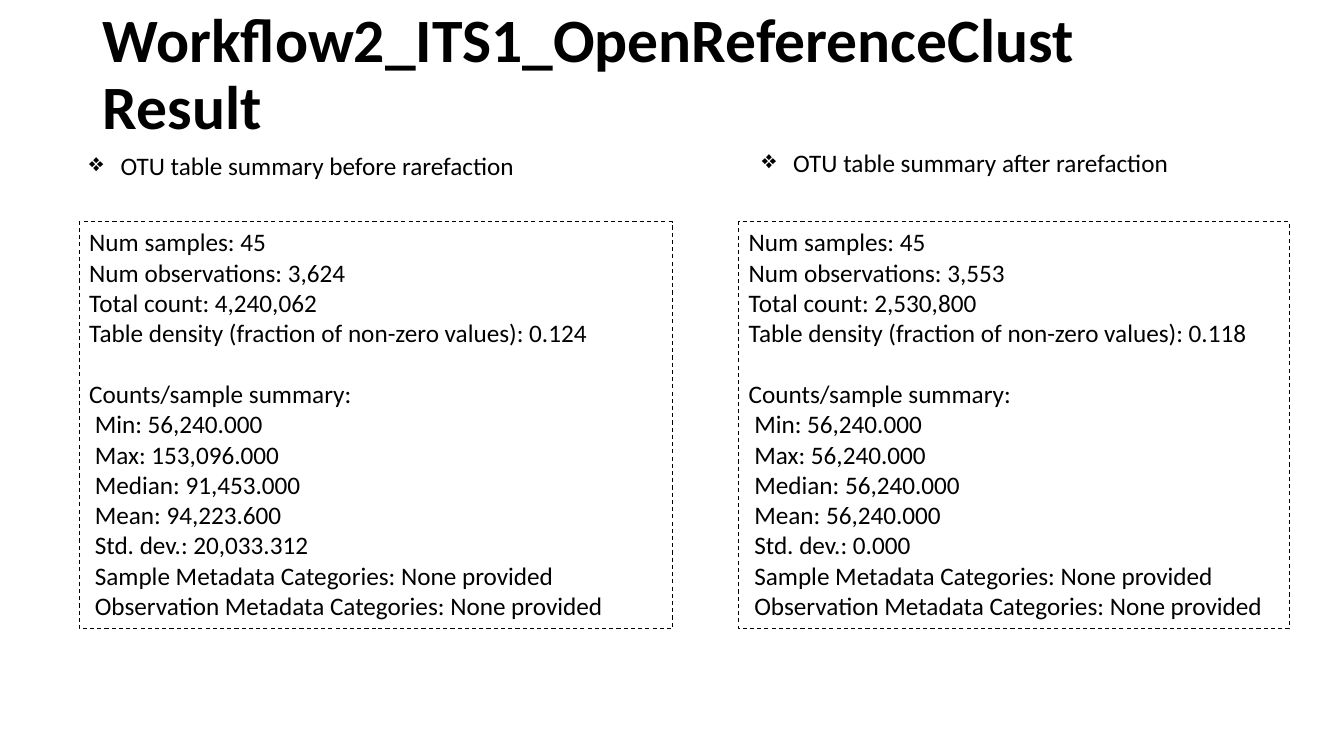
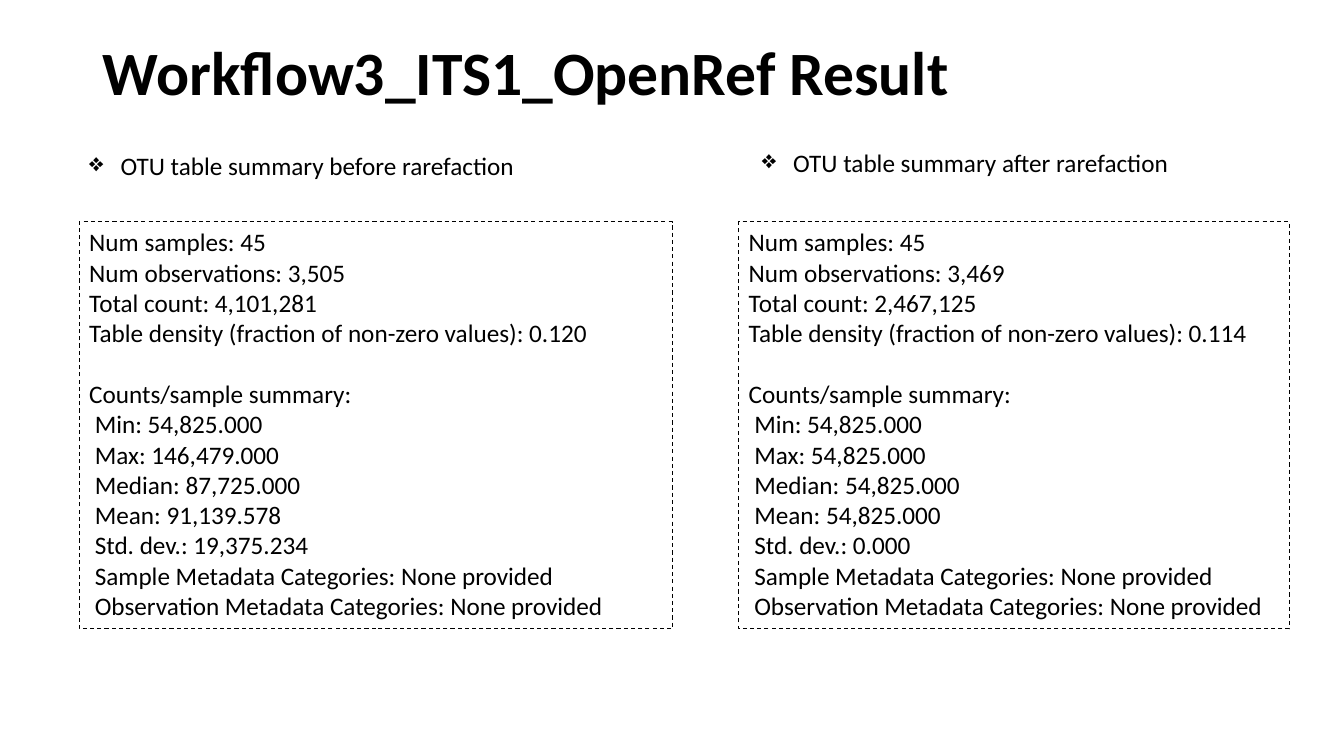
from dataclasses import dataclass
from typing import NamedTuple

from lxml.etree import SubElement
from pptx import Presentation
from pptx.dml.color import RGBColor
from pptx.enum.dml import MSO_LINE
from pptx.enum.text import MSO_ANCHOR, MSO_AUTO_SIZE, PP_ALIGN
from pptx.oxml.ns import qn
from pptx.util import Cm, Pt


@dataclass(frozen=True)
class Theme:
    font: str = "Calibri"
    ink: RGBColor = RGBColor(0, 0, 0)
    title_size: Pt = Pt(44)
    body_size: Pt = Pt(18)
    section_gap: Pt = Pt(22)
    border_width: Pt = Pt(0.75)
    statistic_indent: Cm = Cm(0.14)
    bullet_indent: Cm = Cm(0.79)
    bullet: str = "❖"


class Box(NamedTuple):
    left: Cm
    top: Cm
    width: Cm
    height: Cm


THEME = Theme()
TITLE_BOX = Box(Cm(2.34), Cm(1.02), Cm(29), Cm(1.78))
HEADING_WIDTH, HEADING_HEIGHT = Cm(12), Cm(1.04)
COLUMNS = [
    ("OTU table summary before rarefaction",
     Box(Cm(2), Cm(5.59), Cm(14.94), Cm(10.26)), (Cm(0), Cm(-1.93))),
    ("OTU table summary after rarefaction",
     Box(Cm(18.62), Cm(5.59), Cm(13.87), Cm(10.26)), (Cm(0.33), Cm(-2.01))),
]
TABLE_LABELS = [
    "Num samples", "Num observations", "Total count",
    "Table density (fraction of non-zero values)",
]
COUNT_LABELS = [
    "Min", "Max", "Median", "Mean", "Std. dev.",
    "Sample Metadata Categories", "Observation Metadata Categories",
]
NO_METADATA = ["None provided"] * 2
RESULTS = [
    ("Workflow2_ITS1_OpenReferenceClust Result", [
        (["45", "3,624", "4,240,062", "0.124"],
         ["56,240.000", "153,096.000", "91,453.000", "94,223.600", "20,033.312"]),
        (["45", "3,553", "2,530,800", "0.118"],
         ["56,240.000"] * 4 + ["0.000"]),
    ]),
    ("Workflow3_ITS1_OpenRef Result", [
        (["45", "3,505", "4,101,281", "0.120"],
         ["54,825.000", "146,479.000", "87,725.000", "91,139.578", "19,375.234"]),
        (["45", "3,469", "2,467,125", "0.114"],
         ["54,825.000"] * 4 + ["0.000"]),
    ]),
]


def apply_format(target, values):
    for name, value in values.items():
        setattr(target, name, value)


def write_text(paragraph, text, size=THEME.body_size, bold=False):
    run = paragraph.add_run()
    run.text = text
    apply_format(run.font, {"name": THEME.font, "size": size, "bold": bold})
    run.font.color.rgb = THEME.ink


def set_indent(paragraph, margin, first_line=0):
    properties = paragraph._p.get_or_add_pPr()
    properties.set("marL", str(margin))
    properties.set("indent", str(first_line))
    return properties


def add_text_box(slide, box):
    shape = slide.shapes.add_textbox(*box)
    shape.text_frame.word_wrap = True
    return shape


def place_title(slide, box, text):
    title = slide.shapes.title
    apply_format(title, box._asdict())
    frame = title.text_frame
    apply_format(frame, {
        "word_wrap": True,
        "auto_size": MSO_AUTO_SIZE.NONE,
        "vertical_anchor": MSO_ANCHOR.MIDDLE,
    })
    paragraph = frame.paragraphs[0]
    apply_format(paragraph, {
        "alignment": PP_ALIGN.LEFT, "line_spacing": 0.9, "space_before": Pt(0),
    })
    write_text(paragraph, text, THEME.title_size, bold=True)


def place_heading(slide, box, text):
    paragraph = add_text_box(slide, box).text_frame.paragraphs[0]
    write_text(paragraph, text)
    properties = set_indent(paragraph, THEME.bullet_indent, -THEME.bullet_indent)
    SubElement(properties, qn("a:buChar")).set("char", THEME.bullet)


def place_summary(slide, box, table_values, count_values):
    panel = add_text_box(slide, box)
    apply_format(panel.line, {
        "width": THEME.border_width, "dash_style": MSO_LINE.DASH,
    })
    panel.line.color.rgb = THEME.ink
    frame = panel.text_frame
    paragraph = frame.paragraphs[0]
    for label, value in zip(TABLE_LABELS, table_values):
        write_text(paragraph, f"{label}: {value}")
        paragraph = frame.add_paragraph()
    paragraph.space_before = THEME.section_gap
    write_text(paragraph, "Counts/sample summary:")
    for label, value in zip(COUNT_LABELS, count_values + NO_METADATA):
        paragraph = frame.add_paragraph()
        set_indent(paragraph, THEME.statistic_indent)
        write_text(paragraph, f"{label}: {value}")


def place_column(slide, box, heading, heading_offset, summary):
    across, down = heading_offset
    heading_box = Box(box.left + across, box.top + down,
                      HEADING_WIDTH, HEADING_HEIGHT)
    place_heading(slide, heading_box, heading)
    place_summary(slide, box, *summary)


def add_result_slide(presentation, title, summaries):
    slide = presentation.slides.add_slide(
        presentation.slide_layouts.get_by_name("Title Only"))
    place_title(slide, TITLE_BOX, title)
    for (heading, box, offset), summary in zip(COLUMNS, summaries):
        place_column(slide, box, heading, offset, summary)


def main():
    presentation = Presentation()
    apply_format(presentation, {"slide_width": Cm(33.87), "slide_height": Cm(19.05)})
    for title, summaries in RESULTS:
        add_result_slide(presentation, title, summaries)
    presentation.save("out.pptx")


if __name__ == "__main__":
    main()
